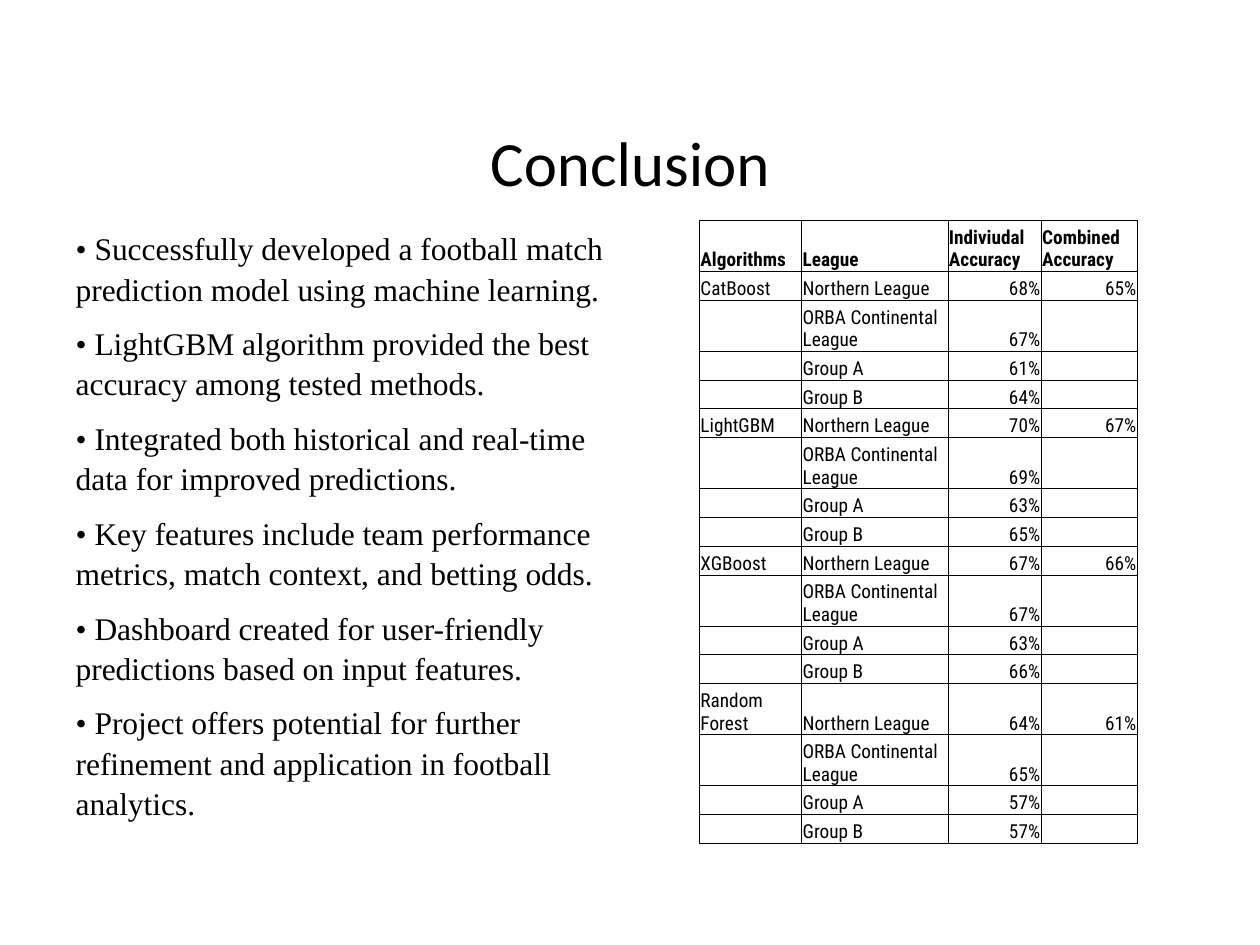
from lxml import etree
from pptx import Presentation
from pptx.dml.color import RGBColor
from pptx.enum.text import MSO_ANCHOR, MSO_AUTO_SIZE, PP_ALIGN
from pptx.oxml.ns import qn
from pptx.util import Cm, Pt

TITLE = "Conclusion"
POINTS = [
    "Successfully developed a football match prediction model using machine learning.",
    "LightGBM algorithm provided the best accuracy among tested methods.",
    "Integrated both historical and real-time data for improved predictions.",
    "Key features include team performance metrics, match context, and betting odds.",
    "Dashboard created for user-friendly predictions based on input features.",
    "Project offers potential for further refinement and application in football analytics.",
]
HEADINGS = ["Algorithms", "League", "Indiviudal Accuracy", "Combined Accuracy"]
LEAGUES = ["Northern League", "ORBA Continental League", "Group A", "Group B"]
# algorithm, accuracy in each league, combined accuracy
RESULTS = [
    ("CatBoost", [68, 67, 61, 64], 65),
    ("LightGBM", [70, 69, 63, 65], 67),
    ("XGBoost", [67, 67, 63, 66], 66),
    ("Random Forest", [64, 65, 57, 57], 61),
]

BLACK = RGBColor(0, 0, 0)
LEFT, CENTER, RIGHT = PP_ALIGN.LEFT, PP_ALIGN.CENTER, PP_ALIGN.RIGHT
MIDDLE, TOP, BOTTOM = MSO_ANCHOR.MIDDLE, MSO_ANCHOR.TOP, MSO_ANCHOR.BOTTOM
NO_AUTOFIT = MSO_AUTO_SIZE.NONE

COLUMN_WIDTHS = [Cm(2.06), Cm(2.95), Cm(1.88), Cm(1.94)]
ONE_LINE, TWO_LINES = Cm(0.58), Cm(1.03)
TWO_LINE_TEXTS = {"Indiviudal Accuracy", "ORBA Continental League", "Random Forest"}
CELL_SIZE = Pt(11)


def place(box, left, top, width, height):
    box.left, box.top, box.width, box.height = left, top, width, height


def style_text(paragraph, font_name, size, bold=False):
    for span in paragraph.runs:
        span.font.name = font_name
        span.font.size = size
        span.font.bold = bold
        span.font.color.rgb = BLACK


def add_title(page):
    title = page.shapes.title
    place(title, Cm(1.27), Cm(1.67), Cm(22.86), Cm(3.18))
    frame = title.text_frame
    frame.text = TITLE
    frame.auto_size = NO_AUTOFIT
    frame.vertical_anchor = MIDDLE
    frame.paragraphs[0].alignment = CENTER
    style_text(frame.paragraphs[0], "Calibri", Pt(36))


def add_points(page):
    body = page.placeholders[1]
    place(body, Cm(1.27), Cm(4.44), Cm(11.23), Cm(12.57))
    frame = body.text_frame
    frame.text = "\n".join("• " + point for point in POINTS)
    frame.auto_size = NO_AUTOFIT
    frame.vertical_anchor = TOP
    for paragraph in frame.paragraphs:
        paragraph.alignment = LEFT
        paragraph.line_spacing = 1.07
        paragraph.space_before = Pt(0)
        paragraph.space_after = Pt(8)
        style_text(paragraph, "Times New Roman", Pt(18))
        properties = paragraph._p.get_or_add_pPr()
        properties.set("marL", "0")
        properties.set("indent", "0")
        etree.SubElement(properties, qn("a:buNone"))


def add_borders(cell):
    properties = cell._tc.get_or_add_tcPr()
    for position, side in enumerate(("a:lnL", "a:lnR", "a:lnT", "a:lnB")):
        line = etree.Element(qn(side), w=str(Pt(0.5)))
        fill = etree.SubElement(line, qn("a:solidFill"))
        etree.SubElement(fill, qn("a:srgbClr"), val=str(BLACK))
        properties.insert(position, line)


def fill_cell(cell, text, bold):
    cell.text = text
    cell.fill.background()
    cell.vertical_anchor = BOTTOM
    cell.margin_left = cell.margin_right = cell.margin_top = Cm(0.02)
    cell.margin_bottom = 0
    paragraph = cell.text_frame.paragraphs[0]
    paragraph.alignment = RIGHT if text.endswith("%") else LEFT
    style_text(paragraph, "Roboto Condensed", CELL_SIZE, bold)
    if not text:  # keeps empty cells from stretching their row
        ending = paragraph._p.get_or_add_endParaRPr()
        ending.set("sz", str(int(CELL_SIZE.pt * 100)))
    add_borders(cell)


def table_rows():
    rows = [HEADINGS]
    for algorithm, accuracies, combined in RESULTS:
        for index, (league, accuracy) in enumerate(zip(LEAGUES, accuracies)):
            first = index == 0
            rows.append([algorithm if first else "", league,
                         f"{accuracy}%", f"{combined}%" if first else ""])
    return rows


def add_results(page):
    rows = table_rows()
    heights = [TWO_LINES if TWO_LINE_TEXTS & set(row) else ONE_LINE for row in rows]
    table = page.shapes.add_table(len(rows), len(HEADINGS), Cm(14.1), Cm(4.44),
                                  sum(COLUMN_WIDTHS), sum(heights)).table
    table.horz_banding = False
    for column, width in zip(table.columns, COLUMN_WIDTHS):
        column.width = width
    for row_index, (texts, height) in enumerate(zip(rows, heights)):
        table.rows[row_index].height = height
        for column_index, text in enumerate(texts):
            fill_cell(table.cell(row_index, column_index), text, bold=row_index == 0)


def main():
    deck = Presentation()
    deck.slide_width, deck.slide_height = Cm(25.4), Cm(19.05)
    page = deck.slides.add_slide(deck.slide_layouts[1])
    add_title(page)
    add_points(page)
    add_results(page)
    deck.save("out.pptx")


if __name__ == "__main__":
    main()
